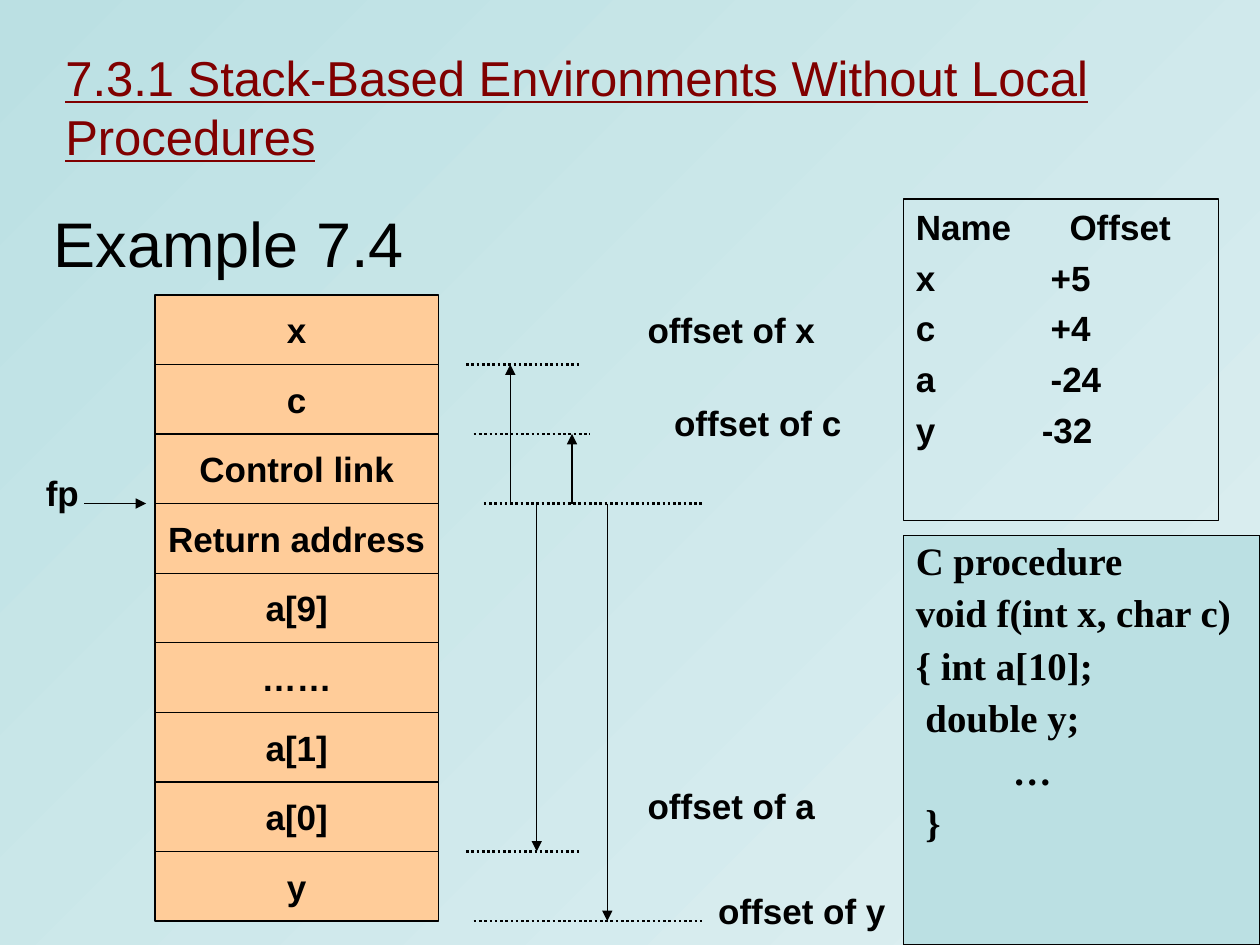
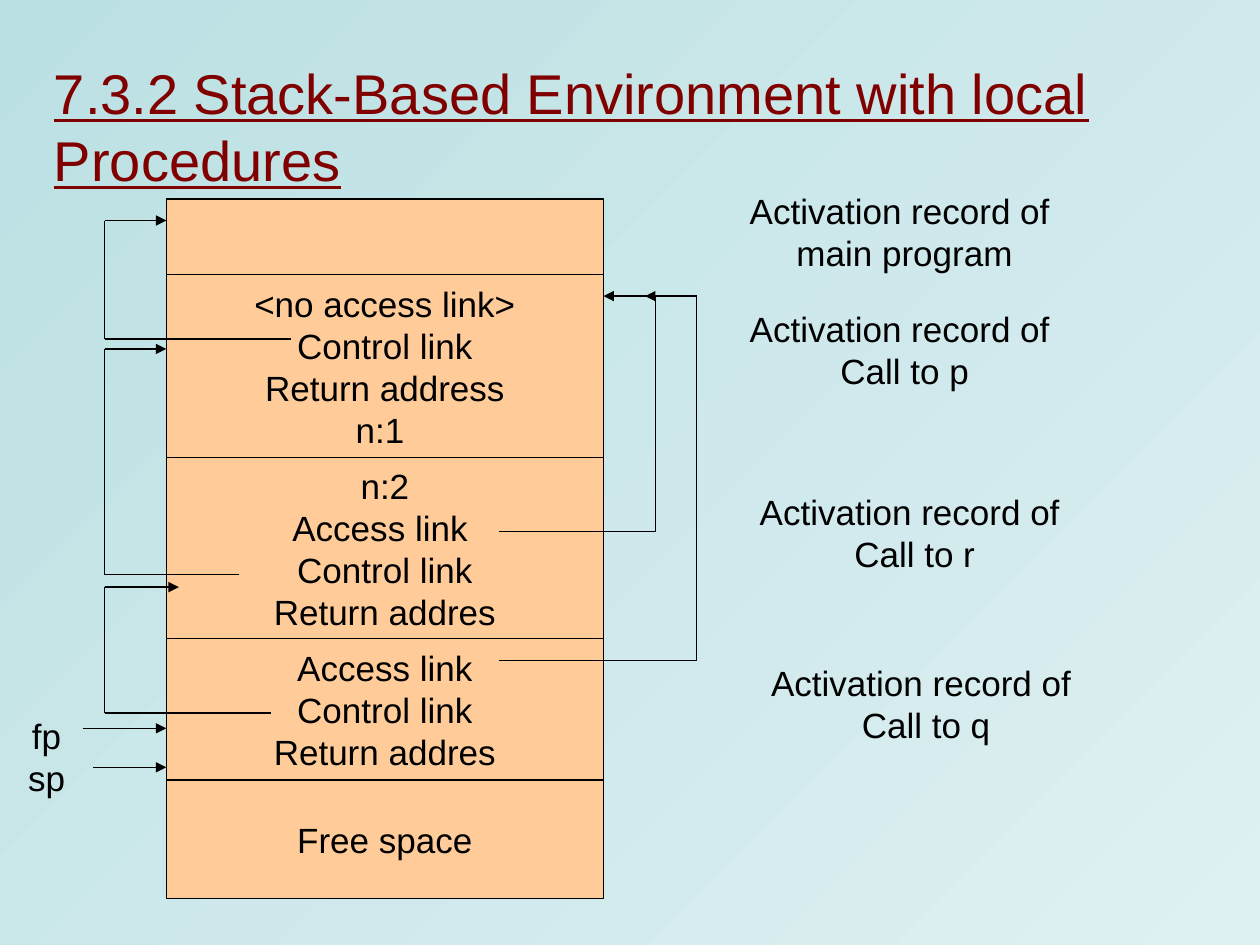
from dataclasses import dataclass
from itertools import pairwise
from typing import Any, Sequence

from lxml import etree
from pptx import Presentation
from pptx import util as u
from pptx.dml.color import RGBColor
from pptx.enum import dml, shapes, text
from pptx.oxml import ns

BLACK, MAROON, PEACH = "000000", "800000", "FFCC99"
TEAL, PALE = "BBE0E3", "DFF0F2"
LEFT, CENTER = text.PP_ALIGN.LEFT, text.PP_ALIGN.CENTER
TOP, MIDDLE = text.MSO_ANCHOR.TOP, text.MSO_ANCHOR.MIDDLE


@dataclass
class Area:
    left: float
    top: float
    width: float
    height: float

    def lengths(self) -> list[u.Length]:
        return [u.Inches(n) for n in (self.left, self.top, self.width, self.height)]


@dataclass
class Label:
    words: str
    area: Area


@dataclass
class Route:
    points: Sequence[tuple[float, float]]
    arrow: bool = True
    dotted: bool = False


def color(value: str) -> RGBColor:
    return RGBColor.from_string(value)


def write(box: Any, words: str, *, size: float = 20, ink: str = BLACK,
          font: str = "Arial", bold: bool = False, underline: bool = False,
          align: Any = CENTER, anchor: Any = MIDDLE, wrap: bool = False,
          gap: float = 0, spacing: float = 1, tabs: Sequence[float] = ()) -> None:
    frame = box.text_frame
    frame.auto_size = text.MSO_AUTO_SIZE.NONE
    frame.word_wrap = wrap
    frame.vertical_anchor = anchor
    for index, line in enumerate(words.split("\n")):
        para = frame.add_paragraph() if index else frame.paragraphs[0]
        para.alignment = align
        para.line_spacing = spacing
        para.space_before = u.Pt(gap if index else 0)
        if tabs:
            stops = etree.SubElement(para._p.get_or_add_pPr(), ns.qn("a:tabLst"))
            etree.SubElement(stops, ns.qn("a:tab"), pos=str(u.Inches(tabs[index])), algn="l")
        span = para.add_run()
        span.text = line
        span.font.name = font
        span.font.size = u.Pt(size)
        span.font.bold = bold
        span.font.underline = underline
        span.font.color.rgb = color(ink)


def add_label(page: Any, label: Label, **style: Any) -> None:
    write(page.shapes.add_textbox(*label.area.lengths()), label.words, **style)


def add_title(page: Any, label: Label, **style: Any) -> None:
    add_label(page, label, ink=MAROON, underline=True, align=LEFT, wrap=True, **style)


def add_panel(page: Any, label: Label, fill: str | None = PEACH, **style: Any) -> None:
    box = page.shapes.add_shape(shapes.MSO_SHAPE.RECTANGLE, *label.area.lengths())
    box.shadow.inherit = False
    if fill:
        box.fill.solid()
        box.fill.fore_color.rgb = color(fill)
    else:
        box.fill.background()
    box.line.color.rgb = color(BLACK)
    box.line.width = u.Pt(0.75)
    if label.words:
        write(box, label.words, **style)


def add_stack(page: Any, left: float, width: float, edges: Sequence[float],
              cells: Sequence[str], **style: Any) -> None:
    for words, (top, bottom) in zip(cells, pairwise(edges)):
        add_panel(page, Label(words, Area(left, top, width, bottom - top)), **style)


def add_route(page: Any, route: Route) -> None:
    legs = list(pairwise(route.points))
    for index, (start, end) in enumerate(legs):
        link = page.shapes.add_connector(
            shapes.MSO_CONNECTOR.STRAIGHT, *[u.Inches(n) for n in (*start, *end)])
        link.line.color.rgb = color(BLACK)
        link.line.width = u.Pt(1.5 if route.dotted else 0.75)
        if route.dotted:
            link.line.dash_style = dml.MSO_LINE.ROUND_DOT
        properties = link._element.spPr
        if route.arrow and index == len(legs) - 1:
            etree.SubElement(properties.find(ns.qn("a:ln")), ns.qn("a:tailEnd"), type="triangle")
        etree.SubElement(properties, ns.qn("a:effectLst"))


def bracket(start: float, side: float, end: float, low: float, high: float) -> Route:
    return Route([(start, low), (side, low), (side, high), (end, high)])


def add_page(deck: Any) -> Any:
    page = deck.slides.add_slide(deck.slide_layouts[6])
    fill = page.background.fill
    fill.gradient()
    fill.gradient_angle = 315
    for stop, shade in zip(fill.gradient_stops, (TEAL, PALE)):
        stop.color.rgb = color(shade)
    return page


def build_offsets(deck: Any) -> None:
    page = add_page(deck)
    add_title(page, Label("7.3.1 Stack-Based Environments Without Local Procedures",
                          Area(0.42, 0.33, 9.25, 1.04)), size=28, anchor=TOP)
    add_label(page, Label("Example 7.4", Area(0.33, 1.67, 8.5, 0.5)),
              size=36, align=LEFT, wrap=True)

    cells = ["x", "c", "Control link", "Return address", "a[9]", "……", "a[1]", "a[0]", "y"]
    top, bottom = 2.34, 7.31
    edges = [top + (bottom - top) * n / len(cells) for n in range(len(cells) + 1)]
    add_stack(page, 1.23, 2.25, edges, cells, bold=True)

    x_edge, c_edge, frame_edge, a_edge, y_edge = (edges[n] for n in (1, 2, 3, 8, 9))
    for left, right, level in [(3.7, 4.61, x_edge), (3.76, 4.68, c_edge),
                               (3.84, 5.59, frame_edge), (3.7, 4.61, a_edge),
                               (3.76, 5.59, y_edge)]:
        add_route(page, Route([(left, level), (right, level)], arrow=False, dotted=True))
    for across, level in [(4.05, x_edge), (4.54, c_edge), (4.26, a_edge), (4.82, y_edge)]:
        add_route(page, Route([(across, frame_edge), (across, level)]))
    add_route(page, Route([(0.67, frame_edge), (1.16, frame_edge)]))

    add_label(page, Label("fp", Area(0.25, 3.54, 0.49, 0.74)), bold=True)
    for name, left, level in [("x", 5.17, 2.34), ("c", 5.38, 3.08),
                              ("a", 5.17, 6.12), ("y", 5.73, 6.95)]:
        add_label(page, Label(f"offset of {name}", Area(left, level, 1.27, 0.55)), bold=True)

    add_panel(page, Label("Name\tOffset\nx\t+5\nc\t+4\na\t-24\ny\t-32",
                          Area(7.17, 1.58, 2.5, 2.55)),
              fill=None, bold=True, align=LEFT, anchor=TOP, wrap=True, gap=5,
              tabs=[1.22, 1.07, 1.07, 1.07, 1])
    code = ["C procedure", "void f(int x, char c)", "{ int a[10];", " double y;",
            "          …", " }"]
    add_panel(page, Label("\n".join(code), Area(7.17, 4.25, 2.83, 3.25)),
              fill=TEAL, font="Times New Roman", size=22.2, bold=True, align=LEFT,
              anchor=TOP, wrap=True, gap=6, spacing=0.9)


def build_links(deck: Any) -> None:
    page = add_page(deck)
    add_title(page, Label("7.3.2 Stack-Based Environment with local Procedures",
                          Area(0.33, 0.58, 9.33, 0.83)), size=32)

    left, width = 1.32, 3.47
    right = left + width
    add_stack(page, left, width, [1.58, 2.18, 3.63, 5.07, 6.19, 7.13], [
        "",
        "<no access link>\nControl link\nReturn address\nn:1 ",
        "n:2\nAccess link \nControl link\nReturn addres",
        "Access link\nControl link\nReturn addres",
        "Free space",
    ])

    control_links = [bracket(2.31, 0.83, left, 2.69, 1.75),
                     bracket(1.9, 0.83, left, 4.56, 2.77),
                     bracket(2.15, 0.83, 1.42, 5.66, 4.66)]
    access_links = [bracket(3.96, 5.2, right, 4.22, 2.35),
                    bracket(3.96, 5.53, 5.12, 5.24, 2.35)]
    pointers = [Route([(0.66, 5.78), (left, 5.78)]), Route([(0.74, 6.09), (left, 6.09)])]
    for route in control_links + access_links + pointers:
        add_route(page, route)

    add_label(page, Label("fp\nsp", Area(0, 5.66, 0.74, 0.68)))
    for owner, start, top in [("main program", 5.53, 1.58), ("Call to p", 5.53, 2.52),
                              ("Call to r", 5.61, 3.97), ("Call to q", 5.7, 5.33)]:
        add_label(page, Label(f"Activation record of \n{owner}", Area(start, top, 3.3, 0.51)))


def main() -> None:
    deck = Presentation()
    deck.slide_width, deck.slide_height = u.Inches(10), u.Inches(7.5)
    build_offsets(deck)
    build_links(deck)
    deck.save("out.pptx")


if __name__ == "__main__":
    main()
